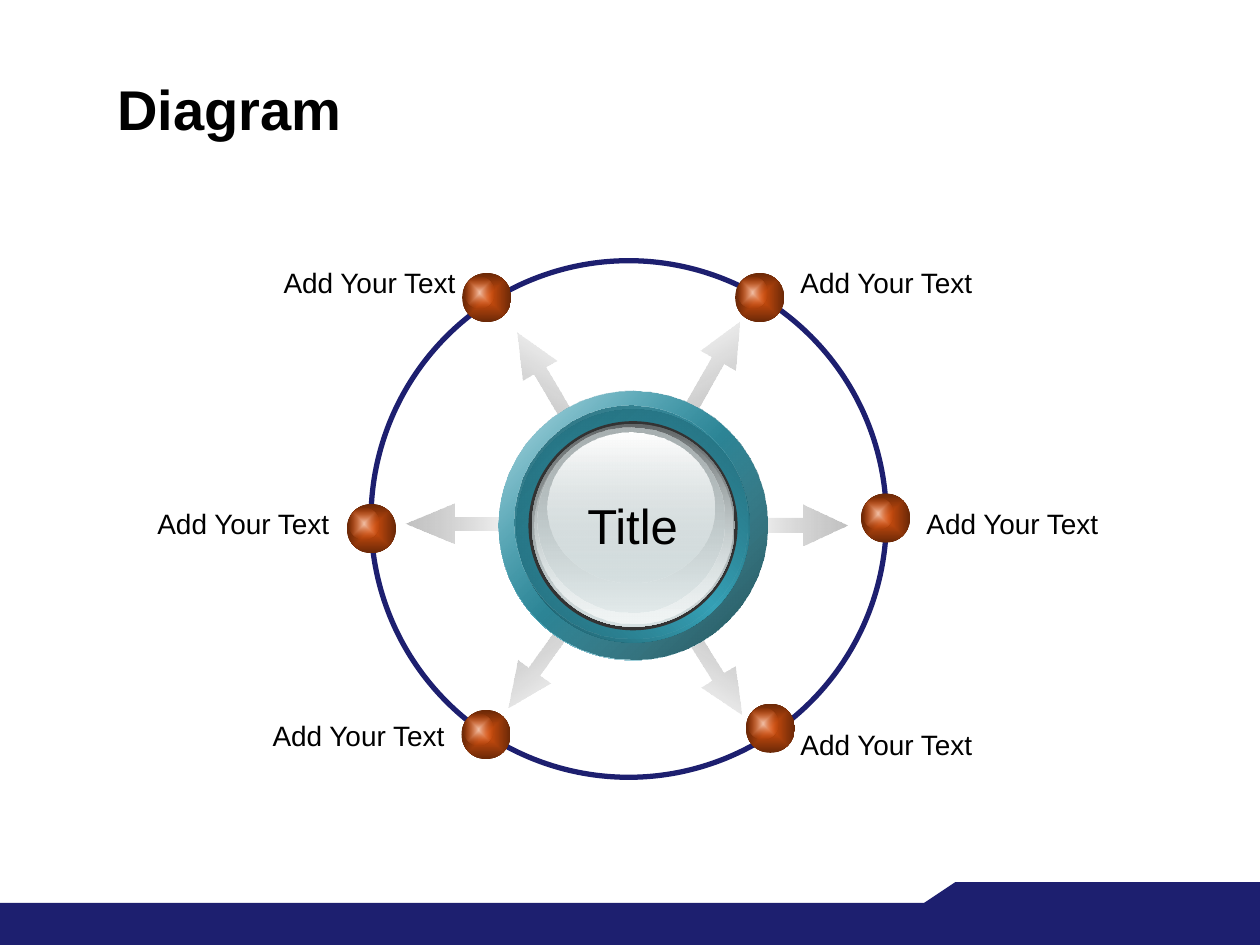
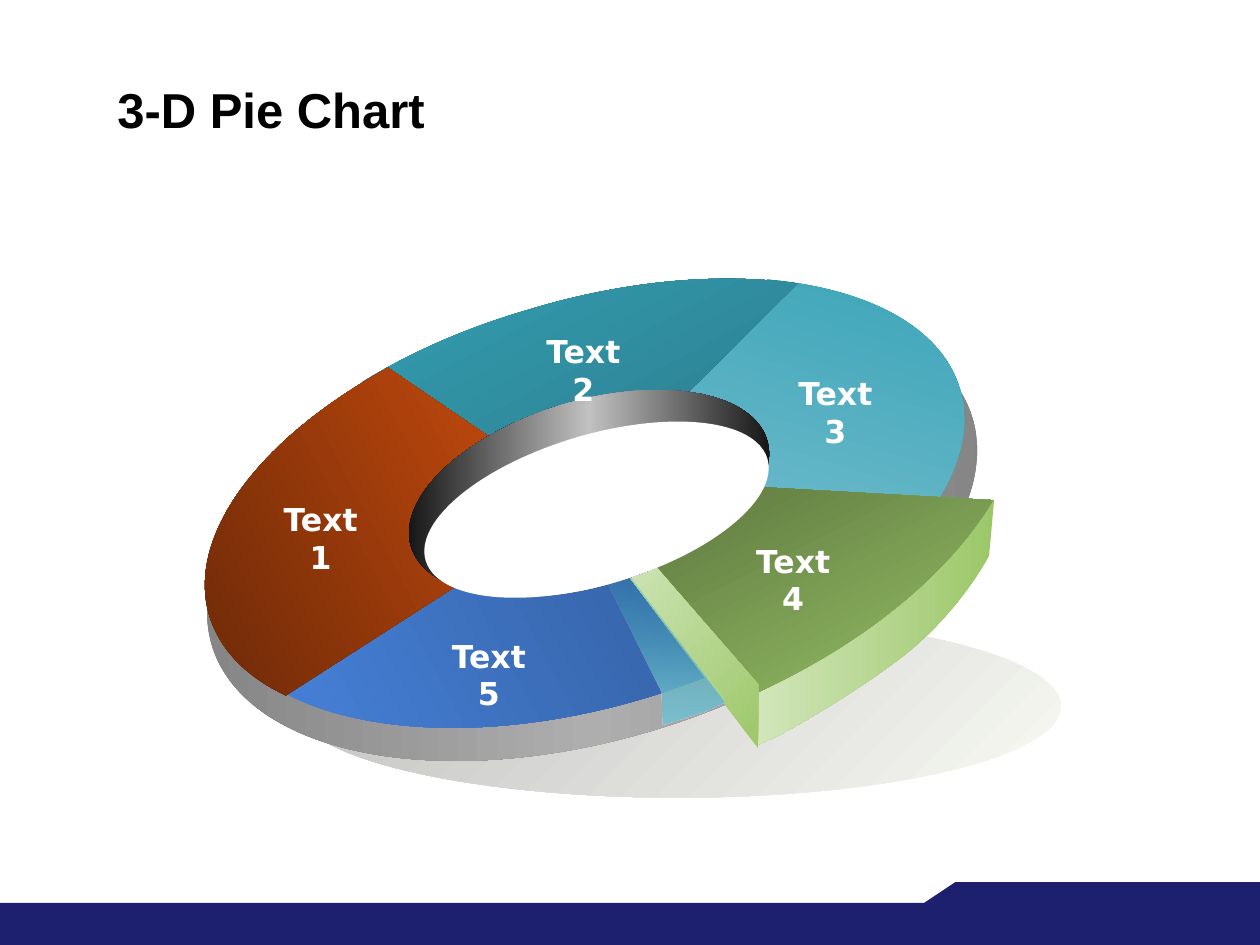
from dataclasses import dataclass
from math import cos, radians, sin
from typing import NamedTuple

from lxml.etree import SubElement
from pptx import Presentation
from pptx.dml.color import RGBColor
from pptx.enum.shapes import MSO_SHAPE as Preset
from pptx.enum.text import MSO_ANCHOR as Anchor, MSO_AUTO_SIZE as AutoSize, PP_ALIGN as Align
from pptx.oxml.ns import qn
from pptx.util import Pt


@dataclass(frozen=True)
class Theme:
    navy: str = "1D1F6F"
    black: str = "000000"
    white: str = "FFFFFF"
    teal: str = "36A1B6"
    deep_teal: str = "1D5762"
    orange: str = "D9520F"
    green: str = "9CC769"
    pale_green: str = "D2E6BB"
    silver: str = "C0C0C0"
    glass: str = "D6E1E2"
    charcoal: str = "333333"
    sans: str = "Arial"
    wide_sans: str = "DejaVu Sans"
    title_size: int = 32
    small_title_size: int = 28
    hub_size: int = 28
    label_size: int = 16
    slice_size: int = 18


THEME = Theme()
TILT = 343.4


class Stop(NamedTuple):
    position: int
    color: str
    alpha: int = 100


class Gradient(NamedTuple):
    stops: tuple[Stop, ...]
    angle: float | None = None


class Area(NamedTuple):
    left: float
    top: float
    width: float
    height: float


class Disk(NamedTuple):
    area: Area
    fill: Gradient | str
    rotation: float = 0


class Outline(NamedTuple):
    start: tuple[float, float]
    steps: tuple[tuple[float, ...], ...]
    fill: Gradient | str
    rotation: float = 0


class Style(NamedTuple):
    size: int
    color: str = THEME.black
    font: str = THEME.sans
    bold: bool = False
    align: Align = Align.LEFT
    anchor: Anchor = Anchor.TOP
    fit: AutoSize = AutoSize.SHAPE_TO_FIT_TEXT


class Spoke(NamedTuple):
    left: float
    top: float
    rotation: float
    length: float = 62.6


class Node(NamedTuple):
    ball: tuple[float, float]
    label: tuple[float, float]
    align: Align


class SliceLabel(NamedTuple):
    text: str
    left: float
    top: float


def blend(angle: float | None, *colors: str | tuple[str, int]) -> Gradient:
    last = len(colors) - 1
    parts = [(color, 100) if isinstance(color, str) else color for color in colors]
    return Gradient(tuple(Stop(100 * i // last, *part) for i, part in enumerate(parts)), angle)


def paint(shape, fill: Gradient | str) -> None:
    shape.shadow.inherit = False
    shape.line.fill.background()
    if isinstance(fill, str):
        shape.fill.solid()
        shape.fill.fore_color.rgb = RGBColor.from_string(fill)
        return
    shape.fill.gradient()
    node = shape.element.spPr.find(qn("a:gradFill"))
    for child in list(node):
        node.remove(child)
    node.set("rotWithShape", "0")
    stops = SubElement(node, qn("a:gsLst"))
    for stop in fill.stops:
        mark = SubElement(stops, qn("a:gs"), pos=str(stop.position * 1000))
        color = SubElement(mark, qn("a:srgbClr"), val=stop.color)
        if stop.alpha < 100:
            SubElement(color, qn("a:alpha"), val=str(stop.alpha * 1000))
    if fill.angle is None:
        route = SubElement(node, qn("a:path"), path="rect")
        SubElement(route, qn("a:fillToRect"), l="50000", t="50000", r="50000", b="50000")
    else:
        SubElement(node, qn("a:lin"), ang=str(round(fill.angle * 60000)), scaled="0")


def add_preset(page, preset: Preset, area: Area, fill: Gradient | str, rotation: float = 0):
    shape = page.shapes.add_shape(preset, *map(Pt, area))
    shape.rotation = rotation
    paint(shape, fill)
    return shape


def add_disk(page, disk: Disk) -> None:
    add_preset(page, Preset.OVAL, disk.area, disk.fill, disk.rotation)


def turn(x: float, y: float, angle: float) -> tuple[float, float]:
    c, s = cos(radians(angle)), sin(radians(angle))
    return x * c - y * s, x * s + y * c


def bend(shape, steps: tuple[tuple[float, ...], ...]) -> None:
    route = next(shape.element.iter(qn("a:path")))
    lines = iter(route.findall(qn("a:lnTo")))
    for step in steps:
        group = [next(lines) for _ in range(len(step) // 2)]
        if len(group) == 3:
            curve = SubElement(route, qn("a:cubicBezTo"))
            route.insert(route.index(group[0]), curve)
            for line in group:
                curve.append(line[0])
                route.remove(line)


def add_outline(page, outline: Outline) -> None:
    corners = [outline.start]
    for step in outline.steps:
        corners += zip(step[::2], step[1::2])
    upright = [turn(x, y, -outline.rotation) for x, y in corners]
    first, *rest = [(Pt(x), Pt(y)) for x, y in upright]
    builder = page.shapes.build_freeform(*first)
    builder.add_line_segments(rest, close=True)
    shape = builder.convert_to_shape()
    bend(shape, outline.steps)
    middle_x, middle_y = shape.left + shape.width / 2, shape.top + shape.height / 2
    x, y = turn(middle_x, middle_y, outline.rotation)
    shape.left, shape.top = round(x - shape.width / 2), round(y - shape.height / 2)
    shape.rotation = outline.rotation
    paint(shape, outline.fill)


def add_text(page, area: Area, text: str, style: Style) -> None:
    box = page.shapes.add_textbox(*map(Pt, area))
    frame = box.text_frame
    frame.word_wrap = True
    frame.auto_size = style.fit
    frame.vertical_anchor = style.anchor
    para = frame.paragraphs[0]
    para.alignment = style.align
    span = para.add_run()
    span.text = text
    span.font.name = style.font
    span.font.size = Pt(style.size)
    span.font.bold = style.bold
    span.font.color.rgb = RGBColor.from_string(style.color)


def add_page(deck, title: str, title_size: int):
    page = deck.slides.add_slide(deck.slide_layouts[6])
    add_preset(page, Preset.RECTANGLE, Area(0, 516, 720, 24), THEME.navy)
    add_outline(page, Outline((528, 516), ((546, 504), (720, 504), (720, 522), (528, 522)), THEME.navy))
    style = Style(title_size, bold=True, anchor=Anchor.MIDDLE, fit=AutoSize.NONE)
    add_text(page, Area(60, 39.7, 618, 44.6), title, style)
    return page


SPOKES = (
    Spoke(375.8, 199.4, 299.6),
    Spoke(375.8, 370.1, 57.8),
    Spoke(280.1, 205.2, 239.5),
    Spoke(277.2, 367.2, 125.6),
    Spoke(421.9, 288.5, 0),
    Spoke(231.8, 287.8, 180, 67.7),
)

NODES = (
    Node((420.1, 156), (450.3, 148.3), Align.LEFT),
    Node((492, 282), (522.3, 285.8), Align.LEFT),
    Node((426.2, 402.1), (450.3, 412.2), Align.LEFT),
    Node((264.1, 156), (151.4, 148.3), Align.RIGHT),
    Node((198.2, 288), (79.3, 285.8), Align.RIGHT),
    Node((263.7, 405.7), (145.1, 406.8), Align.RIGHT),
)

HUB = (
    Disk(Area(285.1, 223.9, 153.4, 153.4), blend(225, THEME.white, THEME.teal, THEME.white)),
    Disk(Area(285.1, 223.2, 153.4, 153.4), blend(225, "194B54", (THEME.teal, 32))),
    Disk(Area(295.2, 234, 133.2, 133.2), blend(135, THEME.deep_teal, THEME.teal, THEME.deep_teal)),
    Disk(Area(293.8, 231.8, 133.2, 133.2), blend(225, (THEME.teal, 0), "226674")),
    Disk(Area(302, 240.7, 119.5, 119.5), THEME.charcoal),
    Disk(Area(304, 242.2, 115.9, 115.9), blend(90, "636869", THEME.glass)),
    Disk(Area(305.5, 243.6, 113, 113), blend(90, (THEME.glass, 0), "F1F5F5")),
    Disk(Area(306.9, 244.3, 107.3, 105.8), blend(90, "AAB2B3", (THEME.glass, 48))),
    Disk(Area(312.7, 247, 95.8, 85.7), blend(90, THEME.white, (THEME.glass, 38))),
)

RING_BODY = (
    Disk(Area(168.5, 351.4, 437.8, 104.4), blend(225, "F7F9F2", THEME.silver)),
    Disk(Area(111.6, 185, 453.6, 237.6), blend(180, "808080", "AEAEAE", "808080"), TILT),
    Disk(Area(115.9, 172.8, 437.8, 230.4), blend(242, THEME.black, "2791BB"), TILT),
)

SLICES = (
    Outline((438.5, 159.8), ((497.5, 164.9, 538.6, 187.9, 548.6, 222.5),
                             (555.1, 244.1, 548.6, 268.6, 530.6, 293.8), (333.4, 286.6)),
            blend(107, THEME.teal, "7FC3D1"), TILT),
    Outline((127.4, 363.6), ((157, 416.2, 260.6, 431.3, 368.6, 398.9),
                             (380.9, 395.3, 392.4, 391, 403.9, 386.6), (335.5, 287.3)),
            blend(332, "4987E3", "335E9E"), TILT),
    Outline((207.4, 218.2), ((235.4, 200.9, 267.1, 187.2, 301.7, 177.1),
                             (355.7, 160.6, 410.4, 155.5, 455.8, 162), (333.4, 283.7)),
            blend(242, "277584", THEME.teal), TILT),
    Outline((221.8, 210.2), ((146.9, 251.3, 106.6, 306.7, 119.5, 351.4),
                             (125.3, 370.8, 140.4, 386.6, 163.4, 397.4), (334.8, 287.3)),
            blend(332, "642607", THEME.orange), TILT),
    Outline((431.3, 396), ((568.1, 285.1), (565.2, 317.5),
                           (557.3, 331.9, 540.7, 355, 518.4, 373),
                           (496.1, 391, 447.1, 421.2, 432.7, 425.5),
                           (430.6, 414.7, 431.3, 396, 431.3, 396)),
            blend(180, THEME.green, THEME.pale_green)),
    Outline((567.4, 285.8), ((540.7, 330.5, 488.9, 371.5, 424.1, 399.6), (337.7, 272.9)),
            blend(243, THEME.green, "485C31"), 342.3),
    Outline((433.4, 391), ((433.4, 427.7), (352.1, 319.7), (364.3, 311.8)),
            blend(225, THEME.green, THEME.pale_green)),
)

HOLE_WALL = Disk(Area(230.4, 229, 212.4, 105.8), blend(180, THEME.black, "C1C1C1", THEME.black), TILT)
HOLE = Disk(Area(239, 248.4, 203.8, 85.7), THEME.white, TILT)
CUT_FACE = Outline((346.3, 331.2), ((378, 395.3), (378.7, 414), (401.8, 406.8), (414, 401), (360, 329)),
                   blend(90, (THEME.teal, 19), "79C0CE"))

SLICE_LABELS = (
    SliceLabel("Text1", 151.2, 282.2),
    SliceLabel("Text2", 301.3, 186.2),
    SliceLabel("Text3", 445.3, 210.2),
    SliceLabel("Text4", 421.2, 306),
    SliceLabel("Text5", 247.3, 360.3),
)


def add_spoke(page, spoke: Spoke) -> None:
    fade = blend((180 - spoke.rotation) % 360, THEME.silver, ("ABABAB", 0))
    area = Area(spoke.left, spoke.top, spoke.length, 23)
    arrow = add_preset(page, Preset.RIGHT_ARROW, area, fade, spoke.rotation)
    arrow.adjustments[0] = 0.35
    arrow.adjustments[1] = 1.21 if spoke.length > 65 else 1.11


def add_node(page, node: Node) -> None:
    left, top = node.ball
    add_disk(page, Disk(Area(left, top, 28.1, 28.1), blend(None, THEME.orange, "6A2807")))
    add_disk(page, Disk(Area(left + 1.2, top + 2.4, 17.3, 18), blend(None, "F1C0A7", (THEME.orange, 0))))
    add_text(page, Area(*node.label, 115.9, 26.6), "Add Your Text", Style(THEME.label_size, align=node.align))


def build_diagram(deck) -> None:
    page = add_page(deck, "Diagram", THEME.title_size)
    for spoke in SPOKES:
        add_spoke(page, spoke)
    orbit = add_preset(page, Preset.OVAL, Area(212, 149, 294.5, 295.2), THEME.white)
    orbit.fill.background()
    orbit.line.color.rgb = RGBColor.from_string(THEME.navy)
    orbit.line.width = Pt(3)
    for disk in HUB:
        add_disk(page, disk)
    add_text(page, Area(328, 279.4, 67, 41), "Title", Style(THEME.hub_size, align=Align.CENTER))
    for node in NODES:
        add_node(page, node)


def build_pie(deck) -> None:
    page = add_page(deck, "3-D Pie Chart", THEME.small_title_size)
    for disk in RING_BODY:
        add_disk(page, disk)
    for outline in SLICES:
        add_outline(page, outline)
    add_disk(page, HOLE_WALL)
    style = Style(THEME.slice_size, THEME.white, THEME.wide_sans, True, Align.CENTER)
    for label in SLICE_LABELS:
        add_text(page, Area(label.left, label.top, 64.1, 28.8), label.text, style)
    add_outline(page, CUT_FACE)
    add_disk(page, HOLE)


def main() -> None:
    deck = Presentation()
    deck.slide_width, deck.slide_height = Pt(720), Pt(540)
    build_diagram(deck)
    build_pie(deck)
    deck.save("out.pptx")


if __name__ == "__main__":
    main()
